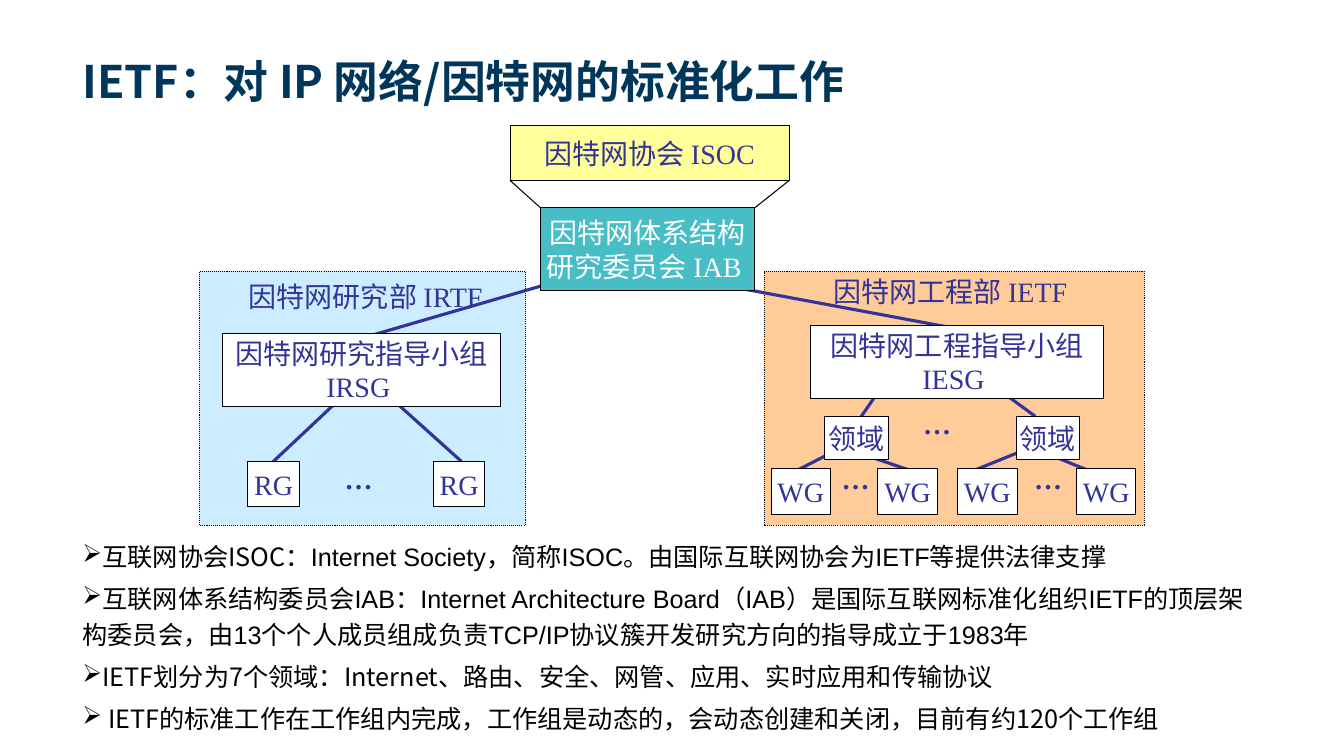
from pptx import Presentation
from pptx import util as u
from pptx.dml.color import RGBColor
from pptx.enum import dml, shapes, text
from pptx.oxml import ns
from lxml import etree

# The grid has square cells of a tenth of an inch
COLUMNS, ROWS = 133.33, 75
SANS, SERIF, LATIN = "Noto Sans CJK SC", "Times New Roman", "Arial"
INK, BLACK, WHITE, NAVY = "333399", "000000", "FFFFFF", "003659"


def colour(value):
    return RGBColor.from_string(value)


class Diagram:
    """Holds the style and the current slide."""

    def __init__(self, presentation):
        self.slide = presentation.slides.add_slide(presentation.slide_layouts[6])
        self.column = presentation.slide_width / COLUMNS
        self.row = presentation.slide_height / ROWS

    def place(self, left, top, width, height):
        return [round(left * self.column), round(top * self.row),
                round(width * self.column), round(height * self.row)]

    def style(self, font, size, ink, bold=False):
        font.size = u.Pt(size)
        font.bold = bold
        font.color.rgb = colour(ink)

    def fill_text(self, shape, lines, ink, align, anchor, font=SERIF, size=20, bold=False):
        frame = shape.text_frame
        frame.word_wrap = False
        frame.vertical_anchor = anchor
        frame.text = lines
        for paragraph in frame.paragraphs:
            paragraph.alignment = align
            paragraph.font.name = font
            self.style(paragraph.font, size, ink, bold)

    def box(self, area, fill, lines="", ink=INK, dotted=False):
        shape = self.slide.shapes.add_shape(
            shapes.MSO_SHAPE.RECTANGLE, *self.place(*area))
        shape.shadow.inherit = False
        shape.fill.solid()
        shape.fill.fore_color.rgb = colour(fill)
        shape.line.color.rgb = colour(BLACK)
        shape.line.width = u.Pt(0.75)
        if dotted:
            shape.line.dash_style = dml.MSO_LINE.ROUND_DOT
        if lines:
            self.fill_text(shape, lines, ink, text.PP_ALIGN.CENTER, text.MSO_ANCHOR.MIDDLE)

    def label(self, area, line, ink=INK, anchor=text.MSO_ANCHOR.TOP, **style):
        shape = self.slide.shapes.add_textbox(*self.place(*area))
        self.fill_text(shape, line, ink, text.PP_ALIGN.LEFT, anchor, **style)

    def link(self, start_x, start_y, end_x, end_y, ink=INK, width=2.25):
        ends = self.place(start_x, start_y, end_x, end_y)
        line = self.slide.shapes.add_connector(shapes.MSO_CONNECTOR.STRAIGHT, *ends)
        line.line.color.rgb = colour(ink)
        line.line.width = u.Pt(width)
        etree.SubElement(line._element.spPr, ns.qn("a:effectLst"))

    def bullets(self, area, items):
        """Each item is a list of (words, font) runs."""
        frame = self.slide.shapes.add_textbox(*self.place(*area)).text_frame
        frame.word_wrap = True
        for index, runs in enumerate(items):
            paragraph = frame.add_paragraph() if index else frame.paragraphs[0]
            paragraph.line_spacing = 1.2
            paragraph.space_before = u.Pt(4 if index else 0)
            bullet = etree.SubElement(paragraph._p.get_or_add_pPr(), ns.qn("a:buChar"))
            bullet.set("char", "➢")
            self.style(paragraph.font, 18, BLACK)
            for words, font in runs:
                run = paragraph.add_run()
                run.text = words
                run.font.name = font


def main():
    presentation = Presentation()
    presentation.slide_width = u.Inches(13.33)
    presentation.slide_height = u.Inches(7.5)
    diagram = Diagram(presentation)

    # Title
    diagram.label((7.2, 0.2, 118.8, 11), "IETF：对 IP 网络/因特网的标准化工作", NAVY,
                  text.MSO_ANCHOR.BOTTOM, font=SANS, size=32, bold=True)

    # Research and engineering panels
    diagram.box((19.8, 26.9, 32.3, 25.2), "CCECFF", dotted=True)
    diagram.box((75.8, 26.9, 37.7, 25.2), "FFCC99", dotted=True)
    diagram.label((23.7, 27.2, 26.4, 4.4), "因特网研究部 IRTF")
    diagram.label((81.7, 26.7, 26.2, 4.4), "因特网工程部 IETF")

    # Links from the society to the board
    for society_x, board_x in ((50.6, 53.6), (78.3, 74.9)):
        diagram.link(society_x, 17.9, board_x, 20.6, BLACK, 0.75)

    # Links from the board to the steering groups, and down to the areas
    for ends in ((37.1, 33.2, 53.6, 28.4), (93.8, 32.4, 69.1, 27.8),
                 (85.1, 41.8, 86.7, 39.5), (100.1, 39.4, 102.7, 41.3)):
        diagram.link(*ends)

    # Links to the research and working groups
    for steering_x, group_x in ((33.8, 27.1), (38.8, 45.8)):
        diagram.link(steering_x, 39.5, group_x, 45.8)
    for area_x, group_x in ((82.5, 79.2), (85.1, 90.1), (101, 96.8), (103.6, 107.8)):
        diagram.link(area_x, 44.9, group_x, 46.6)

    # Society, board and steering groups
    diagram.box((50.6, 12.5, 27.7, 5.4), "FFFF99", "因特网协会 ISOC")
    diagram.box((53.6, 20.6, 21.3, 8.2), "47BEC6",
                "因特网体系结构\n研究委员会 IAB ", WHITE)
    diagram.box((22.1, 33.1, 27.6, 7.2), WHITE, "因特网研究指导小组\nIRSG ")
    diagram.box((80.4, 32.3, 29.1, 7.2), WHITE, "因特网工程指导小组\nIESG ")

    # Areas and groups
    for left in (24.6, 43):
        diagram.box((left, 45.8, 5.1, 4.5), WHITE, "RG")
    for left in (81.8, 100.8):
        diagram.box((left, 41.3, 6.3, 4.3), WHITE, "领域")
    for left in (76.5, 87.1, 95, 106.8):
        diagram.box((left, 46.5, 5.9, 4.5), WHITE, "WG")
    for left, top in ((33.2, 45.3), (82.5, 45.3), (101.6, 45.3), (90.6, 39.8)):
        diagram.label((left, top, 4.8, 4.3), "…", bold=True)

    # Explanation
    diagram.bullets((7.2, 52.6, 118.8, 20.6), [
        [("互联网协会ISOC：", SANS),
         ("Internet Society，简称ISOC。由国际互联网协会为IETF等提供法律支撑", LATIN)],
        [("互联网体系结构委员会IAB：Internet Architecture Board（IAB）是国际互联网标准化组织"
          "IETF的顶层架构委员会，由13个个人成员组成负责TCP/IP协议簇开发研究方向的指导成立于1983年",
          LATIN)],
        [("IETF划分为7个领域：Internet、路由、安全、网管、应用、实时应用和传输协议", SANS)],
        [(" IETF的标准工作在工作组内完成，工作组是动态的，会动态创建和关闭，目前有约120个工作组",
          SANS)],
    ])
    presentation.save("out.pptx")


if __name__ == "__main__":
    main()
